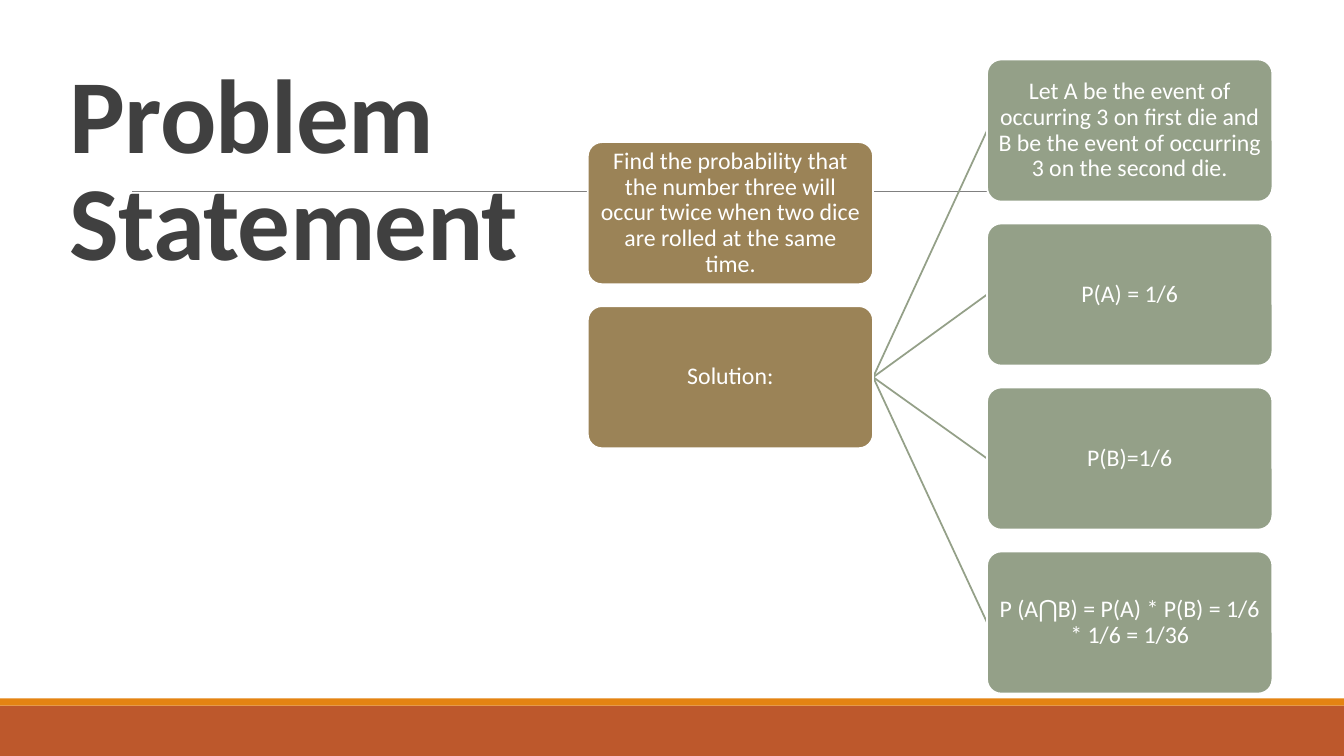
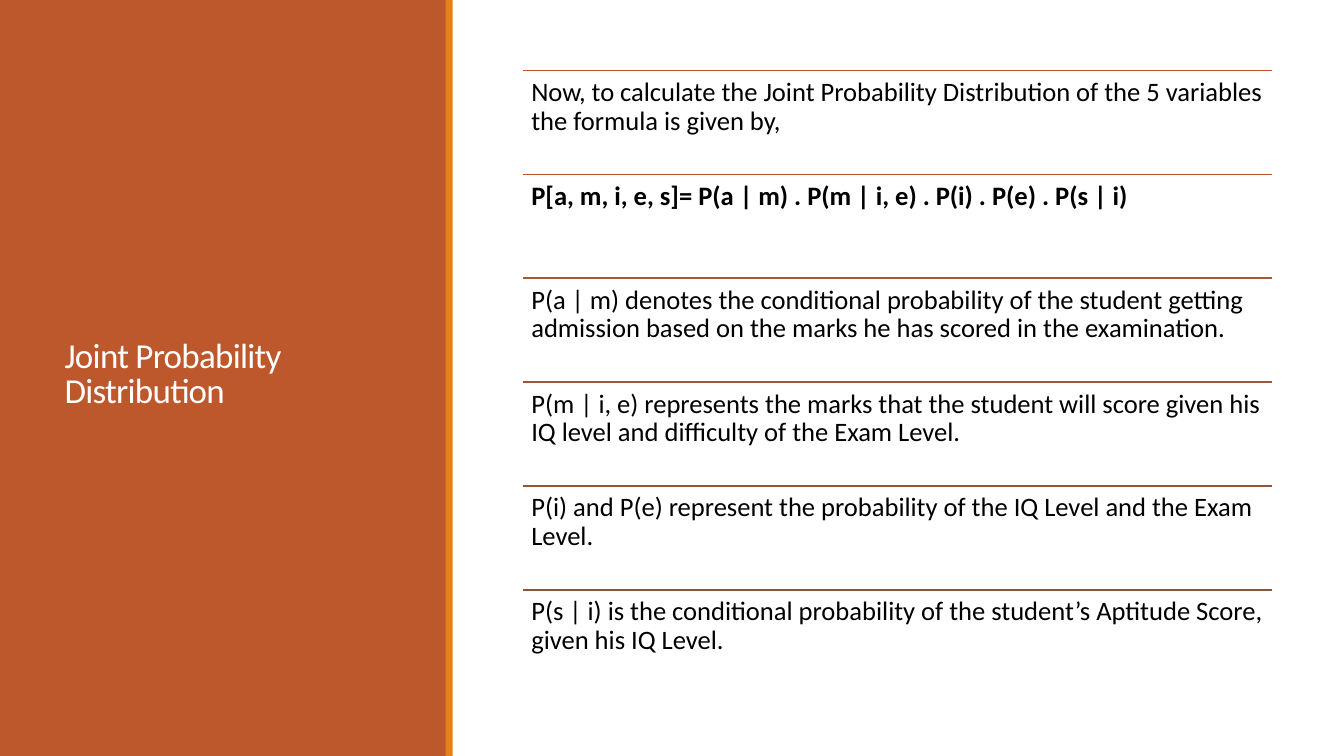
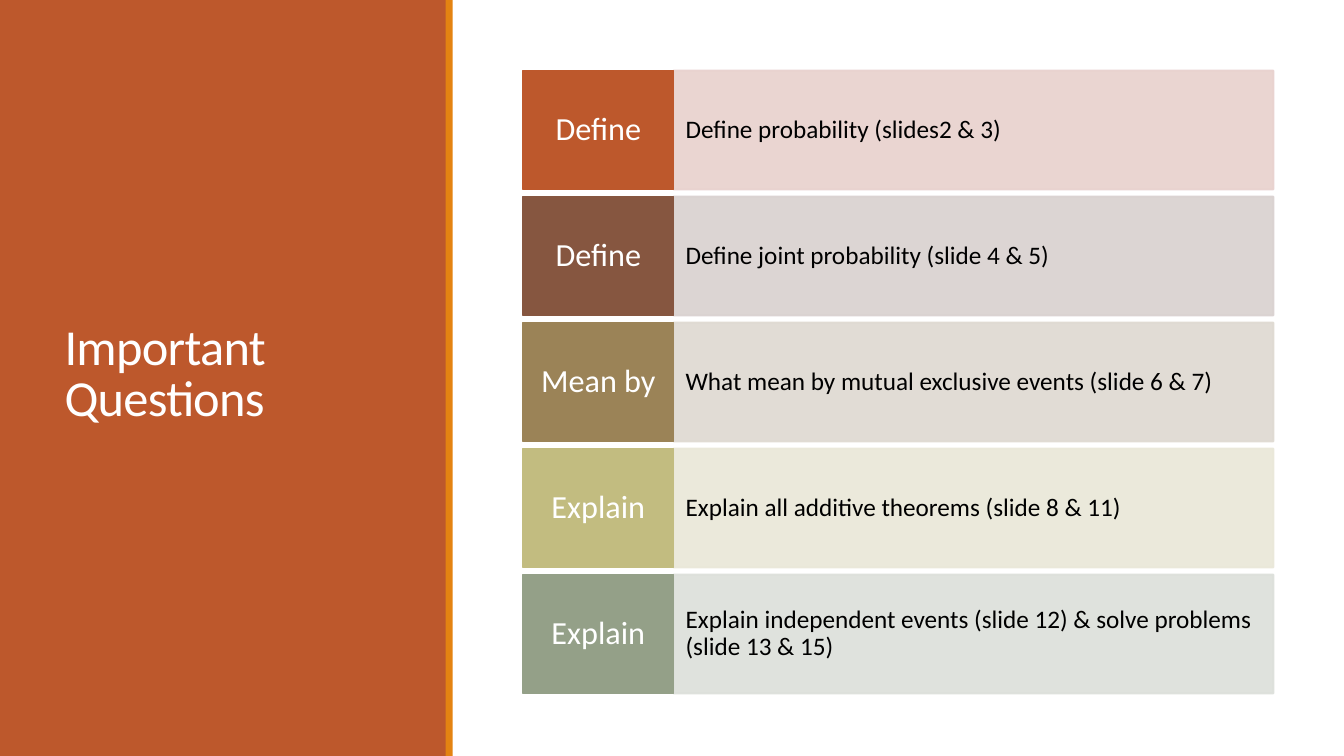
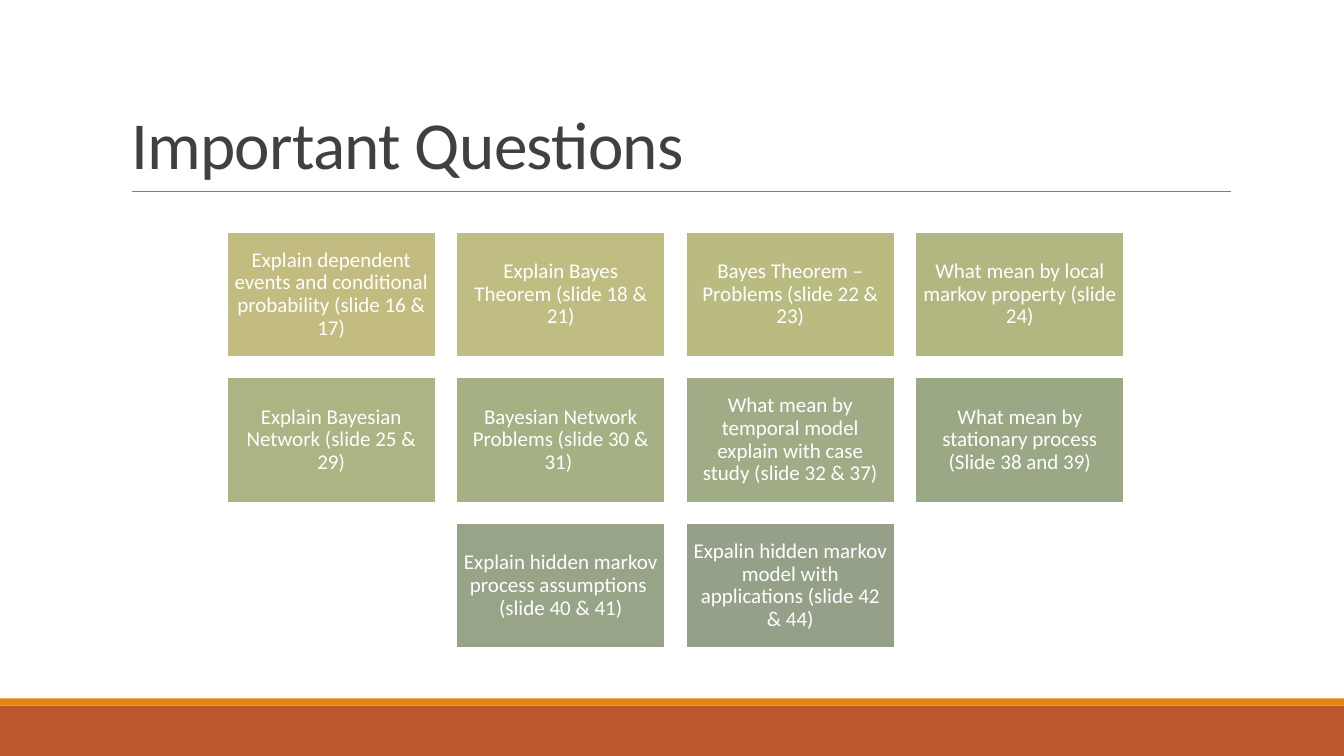
import pptx
import pptx.util
import pptx.dml.color
import pptx.enum.shapes
import pptx.enum.text
import pptx.oxml
import pptx.oxml.ns

Inches = pptx.util.Inches
Pt = pptx.util.Pt
RGBColor = pptx.dml.color.RGBColor
SHAPE = pptx.enum.shapes.MSO_SHAPE
ALIGN = pptx.enum.text.PP_ALIGN
ANCHOR = pptx.enum.text.MSO_ANCHOR

FONT = "Calibri"
WIDTH, HEIGHT = 13.33, 7.5
WHITE = RGBColor.from_string("FFFFFF")
BLACK = RGBColor.from_string("000000")
DARK = RGBColor.from_string("404040")
GREY = RGBColor.from_string("808080")
RUST = RGBColor.from_string("BD582C")
ORANGE = RGBColor.from_string("E48312")
BROWN = RGBColor.from_string("865640")
TAN = RGBColor.from_string("9B8357")
KHAKI = RGBColor.from_string("C2BC80")
SAGE = RGBColor.from_string("94A088")

PROBLEM = [
    "Find the probability that the number three will occur twice when two dice are rolled at the same time.",
    "Solution:",
]
SOLUTION = [
    "Let A be the event of occurring 3 on first die and B be the event of occurring 3 on the second die.",
    "P(A) = 1/6",
    "P(B)=1/6",
    "P (A⋂B) = P(A) * P(B) = 1/6 * 1/6 = 1/36",
]
JOINT = [
    ("Now, to calculate the Joint Probability Distribution of the 5 variables the formula is given by,", RUST, False),
    ("P[a, m, i, e, s]= P(a | m) . P(m | i, e) . P(i) . P(e) . P(s | i)", RGBColor.from_string("B15831"), True),
    ("P(a | m) denotes the conditional probability of the student getting admission based on the marks he has scored in the examination.", RGBColor.from_string("A65835"), False),
    ("P(m | i, e) represents the marks that the student will score given his IQ level and difficulty of the Exam Level.", RGBColor.from_string("9B5739"), False),
    ("P(i) and P(e) represent the probability of the IQ Level and the Exam Level.", RGBColor.from_string("90573D"), False),
    ("P(s | i) is the conditional probability of the student’s Aptitude Score, given his IQ Level.", BROWN, False),
]
QUESTIONS = [
    ("Define", "Define probability (slides2 & 3)", RUST, RGBColor.from_string("E8D1CD")),
    ("Define", "Define joint probability (slide 4 & 5)", BROWN, RGBColor.from_string("D9D1CF")),
    ("Mean by", "What mean by mutual exclusive events (slide 6 & 7)", TAN, RGBColor.from_string("DED9D1")),
    ("Explain", "Explain all additive theorems (slide 8 & 11)", KHAKI, RGBColor.from_string("E9E7D8")),
    ("Explain", "Explain independent events (slide 12) & solve problems (slide 13 & 15)", SAGE, RGBColor.from_string("DCDFDA")),
]
CARD_ROWS = [
    [
        ("Explain dependent events and conditional probability (slide 16 & 17)", KHAKI),
        ("Explain Bayes Theorem (slide 18 & 21)", RGBColor.from_string("BFBD81")),
        ("Bayes Theorem – Problems (slide 22 & 23)", RGBColor.from_string("B9BB81")),
        ("What mean by local markov property (slide 24)", RGBColor.from_string("B2B782")),
    ],
    [
        ("Explain Bayesian Network (slide 25 & 29)", RGBColor.from_string("ABB483")),
        ("Bayesian Network Problems (slide 30 & 31) ", RGBColor.from_string("A5B084")),
        ("What mean by temporal model explain with case study (slide 32 & 37)", RGBColor.from_string("A0AC85")),
        ("What mean by stationary process (Slide 38 and 39)", RGBColor.from_string("9BA886")),
    ],
    [
        ("Explain hidden markov process assumptions  (slide 40 & 41)", RGBColor.from_string("97A487")),
        ("Expalin hidden markov model with applications (slide 42 & 44)", SAGE),
    ],
]


def write(tf, text, size, color, margin, align=ALIGN.LEFT, anchor=ANCHOR.MIDDLE, spacing=0.9, bold=False):
    tf.text = text
    tf.word_wrap = True
    tf.auto_size = pptx.enum.text.MSO_AUTO_SIZE.NONE
    tf.vertical_anchor = anchor
    tf.margin_left = tf.margin_right = Inches(margin)
    tf.margin_top = tf.margin_bottom = Inches(min(margin, 0.08))
    p = tf.paragraphs[0]
    p.alignment = align
    p.line_spacing = spacing
    r = p.runs[0]
    r.font.name = FONT
    r.font.size = Pt(size)
    r.font.bold = bold
    r.font.color.rgb = color
    return r


def add_box(slide, box, fill, line=None, kind=SHAPE.RECTANGLE):
    sp = slide.shapes.add_shape(kind, *map(Inches, box))
    sp.shadow.inherit = False
    sp.fill.solid()
    sp.fill.fore_color.rgb = fill
    if line is None:
        sp.line.fill.background()
    else:
        sp.line.color.rgb = line
        sp.line.width = Pt(1.25)
    return sp


def add_line(slide, x1, y1, x2, y2, color, width=1.25):
    line = slide.shapes.add_connector(
        pptx.enum.shapes.MSO_CONNECTOR.STRAIGHT, *map(Inches, (x1, y1, x2, y2)))
    line.line.color.rgb = color
    line.line.width = Pt(width)
    line.element.spPr.append(pptx.oxml.parse_xml(f"<a:effectLst {pptx.oxml.ns.nsdecls('a')}/>"))


def set_opacity(sp, percent):
    for clr in sp.element.spPr.iter(pptx.oxml.ns.qn("a:srgbClr")):
        clr.append(pptx.oxml.parse_xml(
            f'<a:alpha {pptx.oxml.ns.nsdecls("a")} val="{percent * 1000}"/>'))


def set_title(slide, text, box, size, color, anchor, bold=False):
    title = slide.shapes.title
    title.left, title.top, title.width, title.height = map(Inches, box)
    r = write(title.text_frame, text, size, color, 0.1, anchor=anchor, spacing=0.85, bold=bold)
    r.font._element.set("spc", "-50")
    title.element.getparent().append(title.element)


def new_slide(prs):
    return prs.slides.add_slide(prs.slide_layouts[5])


def banded_slide(prs, *title):
    slide = new_slide(prs)
    add_box(slide, (0, 7, WIDTH, 0.5), RUST)
    add_box(slide, (0, 6.93, WIDTH, 0.07), ORANGE)
    add_line(slide, 1.31, 1.9, 12.21, 1.9, GREY, 0.5)
    set_title(slide, *title)
    return slide


def side_panel_slide(prs, text, size):
    slide = new_slide(prs)
    add_box(slide, (0, 0, 4.43, HEIGHT), RUST)
    add_box(slide, (4.42, 0, 0.07, HEIGHT), ORANGE)
    set_title(slide, text, (0.54, 0.57, 3.37, 6.31), size, WHITE, ANCHOR.MIDDLE)
    return slide


def problem_slide(prs):
    slide = banded_slide(prs, "Problem Statement", (0.59, 0.59, 4.92, 6.3), 75, DARK, ANCHOR.TOP, True)
    width, height, gap = 2.83, 1.41, 0.217
    left, right = 5.83, 9.79
    pitch = height + gap
    problem_top, solution_top = 1.41, 0.59
    hub = problem_top + pitch + height / 2
    for i in range(len(SOLUTION)):
        add_line(slide, left + width, hub, right, solution_top + i * pitch + height / 2, SAGE)
    for x, top, fill, texts in ((left, problem_top, TAN, PROBLEM), (right, solution_top, SAGE, SOLUTION)):
        for i, text in enumerate(texts):
            sp = add_box(slide, (x, top + i * pitch, width, height), fill, WHITE, SHAPE.ROUNDED_RECTANGLE)
            sp.adjustments[0] = 0.1
            write(sp.text_frame, text, 17, WHITE, 0.05, ALIGN.CENTER)


def joint_slide(prs):
    slide = side_panel_slide(prs, "Joint Probability Distribution", 25)
    left, top, width, height = 5.19, 0.7, 7.43, 1.03
    for i, (text, color, bold) in enumerate(JOINT):
        y = top + i * height
        add_line(slide, left, y, left + width, y, color)
        tb = slide.shapes.add_textbox(*map(Inches, (left, y, width, height)))
        write(tb.text_frame, text, 19, BLACK, 0.08, anchor=ANCHOR.TOP, bold=bold)


def questions_slide(prs):
    slide = side_panel_slide(prs, "Important Questions", 36)
    left, top, label_width, text_width, height, pitch = 5.19, 0.7, 1.49, 5.95, 1.18, 1.25
    for i, (label, text, color, tint) in enumerate(QUESTIONS):
        y = top + i * pitch
        sp = add_box(slide, (left + label_width, y, text_width, height), tint, tint)
        set_opacity(sp, 90)
        write(sp.text_frame, text, 18, BLACK, 0.12)
        sp = add_box(slide, (left, y, label_width, height), color, color)
        write(sp.text_frame, label, 23, WHITE, 0.08, ALIGN.CENTER)


def cards_slide(prs):
    slide = banded_slide(prs, "Important Questions", (1.2, 0.31, 11, 1.59), 48, DARK, ANCHOR.BOTTOM)
    left, right, top, bottom = 2.25, 11.15, 2.3, 6.43
    width, height = 2.07, 1.24
    columns = len(CARD_ROWS[0])
    x_pitch = (right - left - width) / (columns - 1)
    y_pitch = (bottom - top - height) / (len(CARD_ROWS) - 1)
    for i, row in enumerate(CARD_ROWS):
        indent = (columns - len(row)) / 2
        for j, (text, color) in enumerate(row):
            box = (left + (indent + j) * x_pitch, top + i * y_pitch, width, height)
            sp = add_box(slide, box, color, WHITE)
            write(sp.text_frame, text, 15, WHITE, 0.06, ALIGN.CENTER)


def main():
    prs = pptx.Presentation()
    prs.slide_width, prs.slide_height = Inches(WIDTH), Inches(HEIGHT)
    for build in (problem_slide, joint_slide, questions_slide, cards_slide):
        build(prs)
    prs.save("out.pptx")


if __name__ == "__main__":
    main()
